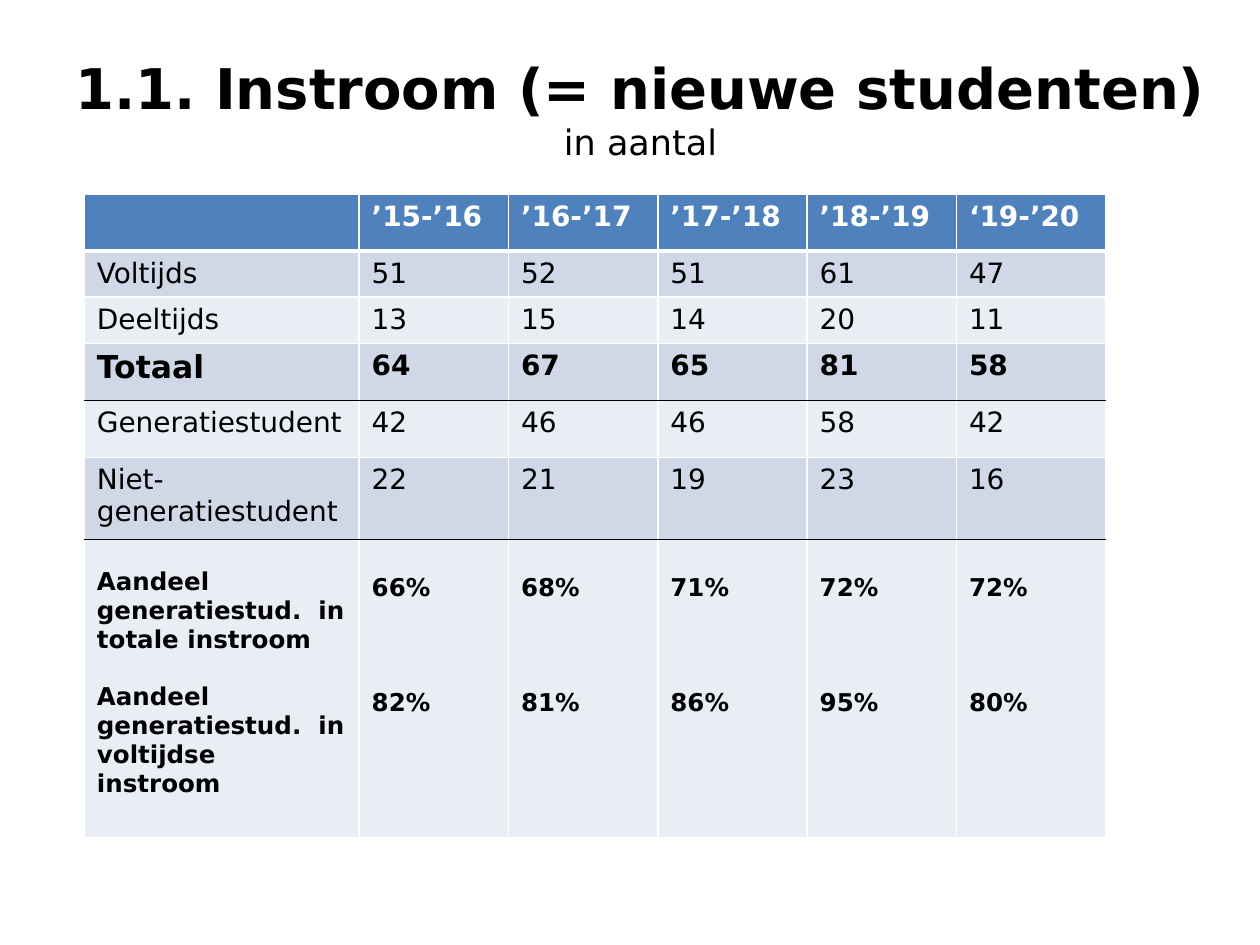
from lxml.etree import SubElement
from pptx import Presentation
from pptx.dml.color import RGBColor
from pptx.enum.text import MSO_ANCHOR, PP_ALIGN
from pptx.oxml.ns import qn
from pptx.util import Cm, Pt

FONT = "DejaVu Sans"
BLACK, WHITE, BLUE = "000000", "FFFFFF", "4F81BD"
BANDS = ["E9EDF4", "D0D8E8"]

TITLE = [("1.1. Instroom (= nieuwe studenten)", 32, True), ("in aantal", 20, False)]
ROWS = [
    ["", "’15-’16", "’16-’17", "’17-’18", "’18-’19", "‘19-’20"],
    ["Voltijds", "51", "52", "51", "61", "47"],
    ["Deeltijds", "13", "15", "14", "20", "11"],
    ["Totaal", "64", "67", "65", "81", "58"],
    ["Generatiestudent", "42", "46", "46", "58", "42"],
    ["Niet-generatiestudent", "22", "21", "19", "23", "16"],
    ["Aandeel generatiestud.  in totale instroom\n"
     "Aandeel generatiestud.  in voltijdse instroom",
     "66%\n82%", "68%\n81%", "71%\n86%", "72%\n95%", "72%\n80%"],
]
HEIGHTS = [1.14, 0.93, 0.93, 1.15, 1.15, 1.65, 6.02]
WIDTHS = [5.54] + [3.01] * 5
HEADER, TOTAL, SHARES = 0, 3, 6
BOLD_ROWS = {HEADER, TOTAL, SHARES}
RULED_ROWS = {3, 5}


def rgb(color):
    return RGBColor.from_string(color)


def style(p, size, bold, color=BLACK):
    f = p.font
    f.name, f.size, f.bold = FONT, Pt(size), bold
    f.color.rgb = rgb(color)


def add_border(cell, side, color, width):
    ln = SubElement(cell._tc.get_or_add_tcPr(), qn("a:ln" + side), w=str(Pt(width)))
    fill = SubElement(ln, qn("a:solidFill"))
    SubElement(fill, qn("a:srgbClr"), val=color)


def add_borders(cell, row):
    add_border(cell, "L", WHITE, 1)
    add_border(cell, "R", WHITE, 1)
    add_border(cell, "T", BLACK if row - 1 in RULED_ROWS else WHITE, 3 if row == 1 else 1)
    add_border(cell, "B", BLACK if row in RULED_ROWS else WHITE, 3 if row == HEADER else 1)


def fill_cell(cell, text, row, col):
    add_borders(cell, row)
    cell.fill.solid()
    cell.fill.fore_color.rgb = rgb(BLUE if row == HEADER else BANDS[row % 2])
    size = 14 if row == SHARES else 18 if (row, col) == (TOTAL, 0) else 16
    cell.text_frame.text = text
    for p in cell.text_frame.paragraphs:
        style(p, size, row in BOLD_ROWS, WHITE if row == HEADER else BLACK)
    if row == SHARES:
        cell.margin_top = Cm(0.58 if col == 0 else 0.7)
        cell.text_frame.paragraphs[1].space_before = Pt(16.3 if col == 0 else 48.9)


prs = Presentation()
prs.slide_width, prs.slide_height = Cm(25.4), Cm(19.05)
s = prs.slides.add_slide(prs.slide_layouts[6])

tf = s.shapes.add_textbox(Cm(0.71), Cm(0.91), Cm(24.41), Cm(2.49)).text_frame
tf.word_wrap = True
tf.vertical_anchor = MSO_ANCHOR.BOTTOM
for i, (text, size, bold) in enumerate(TITLE):
    p = tf.add_paragraph() if i else tf.paragraphs[0]
    p.text, p.alignment = text, PP_ALIGN.CENTER
    style(p, size, bold)

table = s.shapes.add_table(len(ROWS), len(WIDTHS), Cm(1.7), Cm(3.92),
                           Cm(sum(WIDTHS)), Cm(sum(HEIGHTS))).table
for column, width in zip(table.columns, WIDTHS):
    column.width = Cm(width)
for r, (values, height) in enumerate(zip(ROWS, HEIGHTS)):
    table.rows[r].height = Cm(height)
    for c, text in enumerate(values):
        fill_cell(table.cell(r, c), text, r, c)

prs.save("out.pptx")
